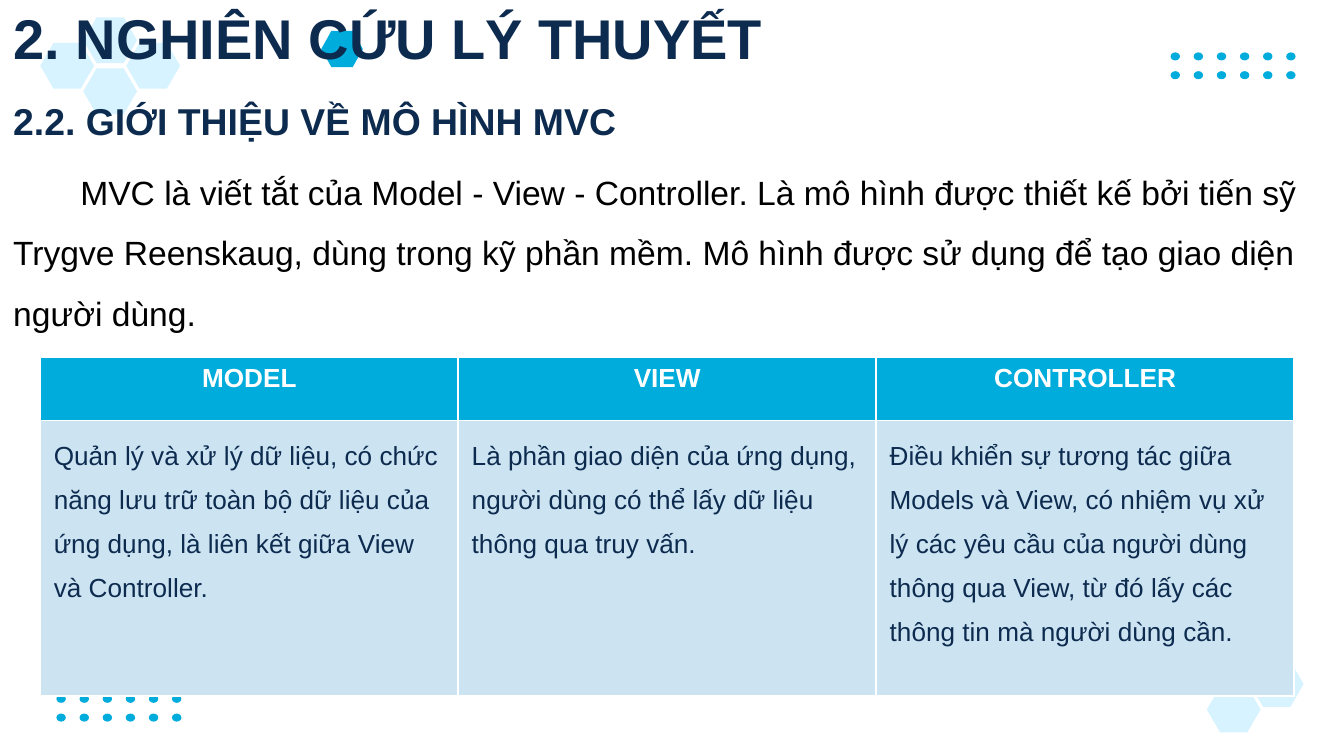
from pptx import Presentation
from pptx.dml.color import RGBColor
from pptx.enum.shapes import MSO_SHAPE
from pptx.enum.text import MSO_ANCHOR, MSO_AUTO_SIZE, PP_ALIGN
from pptx.util import Inches, Pt

OVAL, HEXAGON = MSO_SHAPE.OVAL, MSO_SHAPE.HEXAGON
LEFT, CENTER = PP_ALIGN.LEFT, PP_ALIGN.CENTER
TOP, BOTTOM = MSO_ANCHOR.TOP, MSO_ANCHOR.BOTTOM
BLUE = RGBColor(0x00, 0xAC, 0xDC)
PALE = RGBColor(0xD6, 0xF3, 0xFF)
ICE = RGBColor(0xCC, 0xE3, 0xF2)
NAVY = RGBColor(0x0D, 0x2B, 0x4F)
BLACK = RGBColor(0, 0, 0)
WHITE = RGBColor(0xFF, 0xFF, 0xFF)

prs = Presentation()
prs.slide_width = Inches(10)
prs.slide_height = prs.slide_width * 9 // 16
slide = prs.slides.add_slide(prs.slide_layouts[5])
shapes = slide.shapes


def add_mark(kind, x, y, w, h, color):
    """Draw one flat decorative shape."""
    mark = shapes.add_shape(kind, Inches(x), Inches(y), Inches(w), Inches(h))
    mark.shadow.inherit = False
    mark.fill.solid()
    mark.fill.fore_color.rgb = color
    mark.line.fill.background()
    return mark


def write(frame, text, size, color, bold, align=LEFT, spacing=1.0):
    """Put one formatted paragraph into a text frame."""
    para = frame.paragraphs[0]
    para.alignment, para.line_spacing = align, spacing
    run = para.add_run()
    run.text = text
    run.font.color.rgb = color
    for key, value in {"name": "Arial", "size": Pt(size), "bold": bold}.items():
        setattr(run.font, key, value)
    return para


# Dot grids
for left, top in [(8.71, 0.39), (0.42, 5.17)]:
    for row in range(2):
        for col in range(6):
            add_mark(OVAL, left + 0.86 / 5 * col, top + 0.14 * row, 0.07, 0.06, BLUE)

# Hexagon clusters
for x, y in [(8.98, 4.73), (8.98, 5.11), (9.3, 4.92),
             (0.3, 0.32), (0.62, 0.13), (0.62, 0.51), (0.94, 0.32)]:
    add_mark(HEXAGON, x, y, 0.4, 0.34, PALE).adjustments[0] = 0.29
add_mark(HEXAGON, 2.39, 0.23, 0.31, 0.27, BLUE).adjustments[0] = 0.28

# Title, raised above the decoration
title = shapes.title
shapes._spTree.append(title._element)
subhead = shapes.add_textbox(0, 0, 0, 0)
for box, top, width, text, size, anchor in [
    (title, 0, 10, "2. NGHIÊN CỨU LÝ THUYẾT", 30, BOTTOM),
    (subhead, 0.63, 10.03, "2.2. GIỚI THIỆU VỀ MÔ HÌNH MVC", 20, TOP),
]:
    box.left, box.top = 0, Inches(top)
    box.width, box.height = Inches(width), Inches(0.63)
    frame = box.text_frame
    frame.word_wrap, frame.auto_size = True, MSO_AUTO_SIZE.NONE
    frame.vertical_anchor = anchor
    for side in ("left", "top", "right", "bottom"):
        setattr(frame, f"margin_{side}", Inches(0.1))
    write(frame, text, size, NAVY, True)

# Introduction
intro = shapes.add_textbox(0, Inches(1.08), Inches(10.03), Inches(4.54)).text_frame
intro.word_wrap = True
para = write(
    intro,
    "MVC là viết tắt của Model - View - Controller. Là mô hình được thiết kế bởi "
    "tiến sỹ Trygve Reenskaug, dùng trong kỹ phần mềm. Mô hình được sử dụng để "
    "tạo giao diện người dùng.",
    18, BLACK, False, spacing=1.5)
para._p.get_or_add_pPr().set("indent", str(Inches(0.5)))

# Table of the three parts; its default style draws the white rules
parts = [
    ("MODEL", "Quản lý và xử lý dữ liệu, có chức năng lưu trữ toàn bộ dữ liệu "
              "của ứng dụng, là liên kết giữa View và Controller."),
    ("VIEW", "Là phần giao diện của ứng dụng, người dùng có thể lấy dữ liệu "
             "thông qua truy vấn."),
    ("CONTROLLER", "Điều khiển sự tương tác giữa Models và View, có nhiệm vụ xử lý "
                   "các yêu cầu của người dùng thông qua View, từ đó lấy các "
                   "thông tin mà người dùng cần."),
]
table = shapes.add_table(2, 3, Inches(0.3), Inches(2.66),
                         Inches(9.33), Inches(2.52)).table
table.rows[0].height, table.rows[1].height = Inches(0.47), Inches(2.05)
styles = [(BLUE, 14, WHITE, True, CENTER, 1.0), (ICE, 14, NAVY, False, LEFT, 1.5)]
for col, part in enumerate(parts):
    table.columns[col].width = Inches(3.11)
    for row, (fill, *style) in enumerate(styles):
        cell = table.cell(row, col)
        write(cell.text_frame, part[row], *style)
        cell.fill.solid()
        cell.fill.fore_color.rgb = fill

prs.save("out.pptx")
